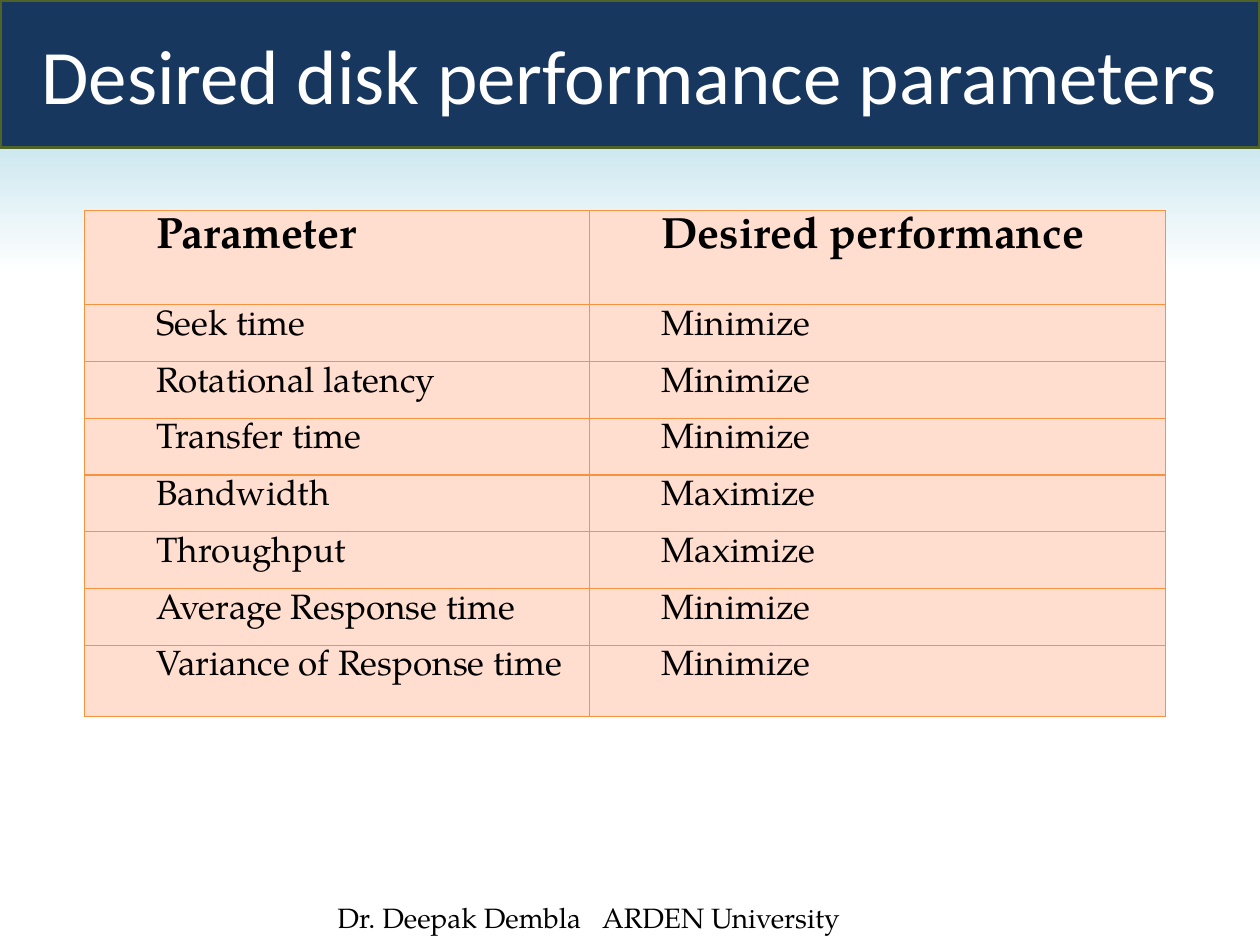
from lxml.etree import SubElement
from pptx import Presentation
from pptx.dml.color import RGBColor
from pptx.enum.shapes import MSO_SHAPE
from pptx.enum.text import MSO_ANCHOR, PP_ALIGN
from pptx.oxml.ns import qn
from pptx.util import Inches, Pt


def color(value):
    return RGBColor.from_string(value)


class SlideBuilder:
    """Holds the slide and its style, and adds each kind of element."""

    SERIF = "TeX Gyre Pagella"
    SANS = "Calibri"
    CELL_FILL = "FFDDCF"
    BORDER = "F69240"
    CELL_FORMAT = {"margin_left": Inches(0.07), "margin_right": Inches(0.07),
                   "margin_top": 0, "margin_bottom": 0}

    def __init__(self, slide):
        self.slide = slide

    def background(self, top, bottom, end):
        fill = self.slide.background.fill
        fill.gradient()
        fill.gradient_angle = 270
        for stop, value, position in zip(fill.gradient_stops, (top, bottom), (0, end)):
            stop.color.rgb = color(value)
            stop.position = position

    def add_text(self, text_frame, text, font_format, ink, **paragraph_format):
        paragraph = text_frame.paragraphs[0]
        run = paragraph.add_run()
        run.text = text
        run.font.color.rgb = color(ink)
        for target, values in ((run.font, font_format), (paragraph, paragraph_format)):
            for name, value in values.items():
                setattr(target, name, value)
        return paragraph

    def banner(self, text, box, fill, line):
        shape = self.slide.shapes.add_shape(MSO_SHAPE.ROUNDED_RECTANGLE, *map(Inches, box))
        shape.adjustments[0] = 0
        shape.shadow.inherit = False
        shape.fill.solid()
        shape.fill.fore_color.rgb = color(fill)
        shape.line.color.rgb = color(line)
        shape.line.width = Pt(2)
        shape.text_frame.word_wrap = True
        shape.text_frame.vertical_anchor = MSO_ANCHOR.MIDDLE
        self.add_text(shape.text_frame, text, {"name": self.SANS, "size": Pt(44)},
                      "FFFFFF", alignment=PP_ALIGN.CENTER)

    def footer(self, text, box, tab):
        text_frame = self.slide.shapes.add_textbox(*map(Inches, box)).text_frame
        text_frame.word_wrap = True
        paragraph = self.add_text(text_frame, text,
                                  {"name": self.SERIF, "size": Pt(16)}, "000000")
        tabs = SubElement(paragraph._p.get_or_add_pPr(), qn("a:tabLst"))
        SubElement(tabs, qn("a:tab"), pos=str(Inches(tab)), algn="l")

    def cell(self, cell, text, size, bold, space_after):
        for name, value in self.CELL_FORMAT.items():
            setattr(cell, name, value)
        paragraph = self.add_text(
            cell.text_frame, text, {"name": self.SERIF, "size": Pt(size), "bold": bold},
            "000000", alignment=PP_ALIGN.JUSTIFY, line_spacing=1.15,
            space_after=Pt(space_after))
        paragraph._p.get_or_add_pPr().set("marL", str(Inches(0.5)))
        # Borders come before the fill in the cell properties
        properties = cell._tc.get_or_add_tcPr()
        for side in ("a:lnL", "a:lnR", "a:lnT", "a:lnB"):
            border = SubElement(properties, qn(side), w=str(Pt(0.75)))
            fill = SubElement(border, qn("a:solidFill"))
            SubElement(fill, qn("a:srgbClr"), val=self.BORDER)
        cell.fill.solid()
        cell.fill.fore_color.rgb = color(self.CELL_FILL)

    def table(self, rows, left, top, widths, heights):
        table = self.slide.shapes.add_table(
            len(rows), len(widths), Inches(left), Inches(top),
            Inches(sum(widths)), Inches(sum(heights))).table
        table.first_row = table.horz_banding = False
        for column, width in zip(table.columns, widths):
            column.width = Inches(width)
        for row_index, (texts, height) in enumerate(zip(rows, heights)):
            table.rows[row_index].height = Inches(height)
            header = row_index == 0
            for column_index, text in enumerate(texts):
                self.cell(table.cell(row_index, column_index), text,
                          25 if header else 20, header, 10 * column_index)


def main():
    presentation = Presentation()
    presentation.slide_width = Inches(10)
    presentation.slide_height = Inches(7.5)
    builder = SlideBuilder(presentation.slides.add_slide(presentation.slide_layouts[6]))

    # Background and footer
    builder.background("93CDDD", "FFFFFF", 0.29)
    builder.footer("Dr. Deepak Dembla\tARDEN University", (2.58, 7.1, 5.92, 0.64), 2.1)

    # Title
    builder.banner("Desired disk performance parameters", (0, 0, 10, 1.17),
                   "17375E", "4F6228")

    # Parameter table
    rows = [
        ("Parameter", "Desired performance"),
        ("Seek time", "Minimize"),
        ("Rotational latency", "Minimize"),
        ("Transfer time", "Minimize"),
        ("Bandwidth", "Maximize"),
        ("Throughput", "Maximize"),
        ("Average Response time", "Minimize"),
        ("Variance of Response time", "Minimize"),
    ]
    builder.table(rows, 0.67, 1.67, (4.01, 4.57), [0.75] + [0.45] * 6 + [0.57])

    presentation.save("out.pptx")


if __name__ == "__main__":
    main()
